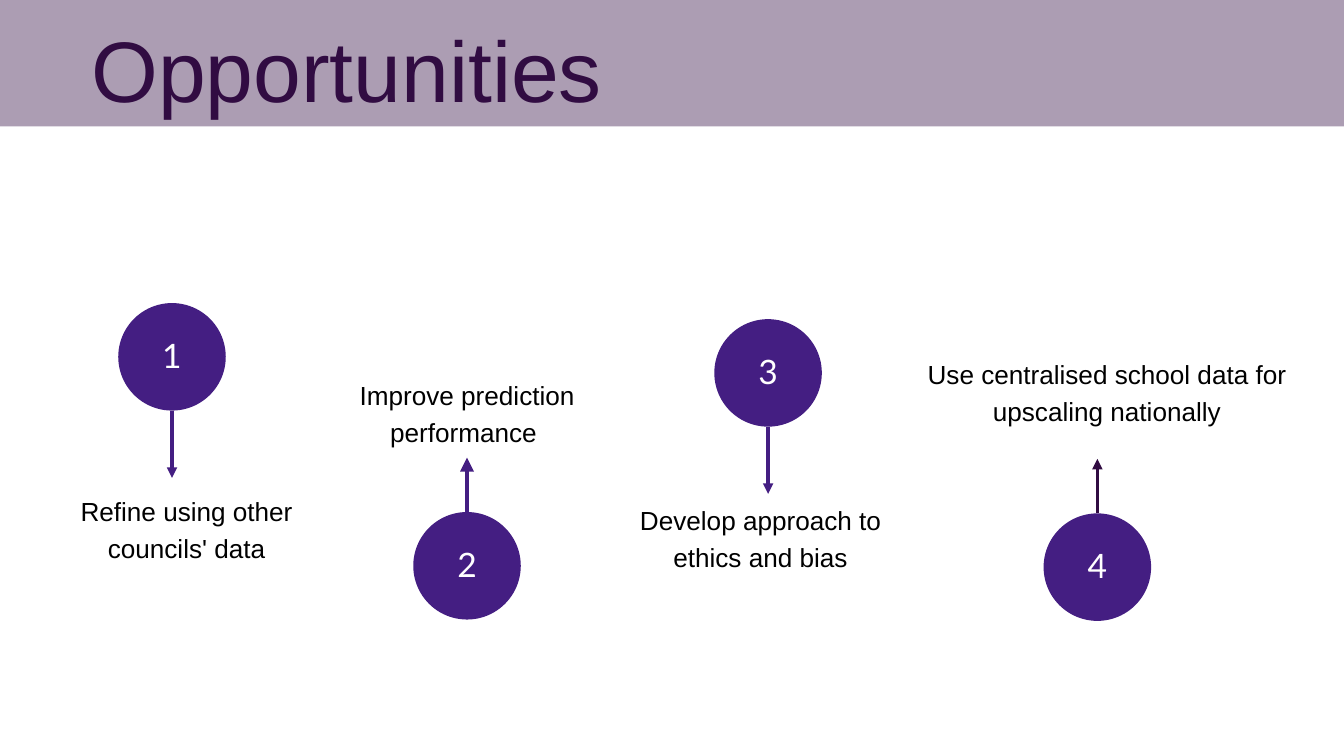
from pptx import Presentation
from pptx.dml.color import RGBColor
from pptx.enum.shapes import MSO_CONNECTOR, MSO_SHAPE
from pptx.enum.text import MSO_ANCHOR, PP_ALIGN
from pptx.oxml.ns import qn
from pptx.util import Inches, Pt
from lxml.etree import SubElement

COLOURS = {"violet": "441E82", "plum": "310C42", "white": "FFFFFF", "black": "000000"}
rgb = {name: RGBColor.from_string(value) for name, value in COLOURS.items()}

prs = Presentation()
prs.slide_width, prs.slide_height = Inches(20), Inches(11.25)
slide = prs.slides.add_slide(prs.slide_layouts[6])
shapes = slide.shapes

# All positions are percentages of the slide's width and height
col, row = prs.slide_width / 100, prs.slide_height / 100


def box(left, top, width, height):
    return int(left * col), int(top * row), int(width * col), int(height * row)


def write(holder, text, font, size, colour):
    """Centred text without margins, on lines 1.4 times the type size."""
    frame = holder.text_frame
    frame.word_wrap = True
    frame.margin_left = frame.margin_top = frame.margin_right = frame.margin_bottom = 0
    paragraph = frame.paragraphs[0]
    paragraph.alignment = PP_ALIGN.CENTER
    paragraph.line_spacing = Pt(1.4 * size)
    run = paragraph.add_run()
    run.text = text
    run.font.name, run.font.size = font, Pt(size)
    run.font.color.rgb = rgb[colour]
    return frame


# Title band, 40% opaque
band = shapes.add_shape(MSO_SHAPE.RECTANGLE, *box(0, 0, 100, 16.71))
band.shadow.inherit = False
band.fill.solid()
band.fill.fore_color.rgb = rgb["plum"]
band.line.fill.background()
band_colour = band.fill._xPr.find(qn("a:solidFill"))[0]
SubElement(band_colour, qn("a:alpha"), val="40000")

title = shapes.add_textbox(*box(4.35, -0.09, 42.9, 15.2))
write(title, "Opportunities", "Arial", 92, "plum")

# Steps: centre and top of the circle, arrow direction, colour and weight,
# then left, top and width of the caption
DIAMETER = 8
diameter_in_rows = DIAMETER * col / row
steps = [
    (12.8, 40.09, "down", "violet", 3.75, 3.45, 64.89, 20.85,
     "Refine using other councils' data"),
    (34.75, 67.73, "up", "violet", 5, 22.35, 49.51, 24.8,
     "Improve prediction performance "),
    (57.15, 42.22, "down", "violet", 3.75, 45.2, 66.04, 22.75,
     "Develop approach to ethics and bias"),
    (81.65, 67.91, "up", "plum", 3.75, 67.1, 46.76, 30.5,
     "Use centralised school data for upscaling nationally"),
]

for number, step in enumerate(steps, 1):
    centre, top, direction, arrow_colour, weight, left, caption_top, width, words = step

    # Arrow from the circle to the caption
    if direction == "down":
        start = top + diameter_in_rows
        end = start + 8.89
    else:
        start, end = top, top - 7.2
    arrow = shapes.add_connector(MSO_CONNECTOR.STRAIGHT, int(centre * col), int(start * row),
                                 int(centre * col), int(end * row))
    arrow.line.color.rgb = rgb[arrow_colour]
    arrow.line.width = Pt(weight)
    SubElement(arrow.line._get_or_add_ln(), qn("a:tailEnd"), type="triangle")
    SubElement(arrow._element.spPr, qn("a:effectLst"))

    # Numbered circle, its figure slightly above the middle
    circle = shapes.add_shape(
        MSO_SHAPE.OVAL, *box(centre - DIAMETER / 2, top, DIAMETER, diameter_in_rows))
    circle.shadow.inherit = False
    circle.fill.solid()
    circle.fill.fore_color.rgb = rgb["violet"]
    circle.line.fill.background()
    figure = write(circle, str(number), "Lato", 36, "white")
    figure.vertical_anchor = MSO_ANCHOR.MIDDLE
    figure.margin_bottom = int(1.33 * row)

    # Caption
    caption = shapes.add_textbox(*box(left, caption_top, width, 9.42))
    write(caption, words, "Arial", 28, "black")

prs.save("out.pptx")
